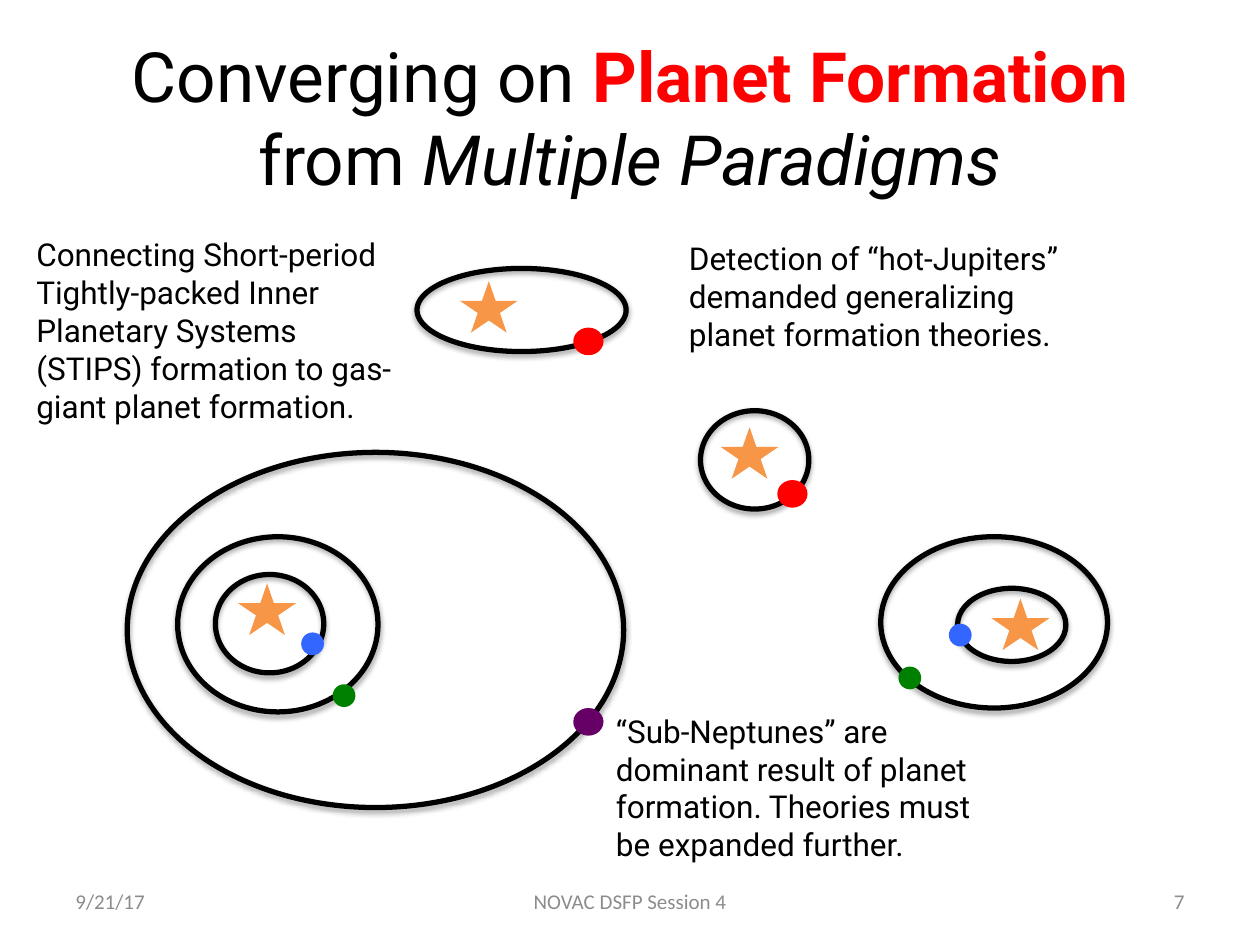
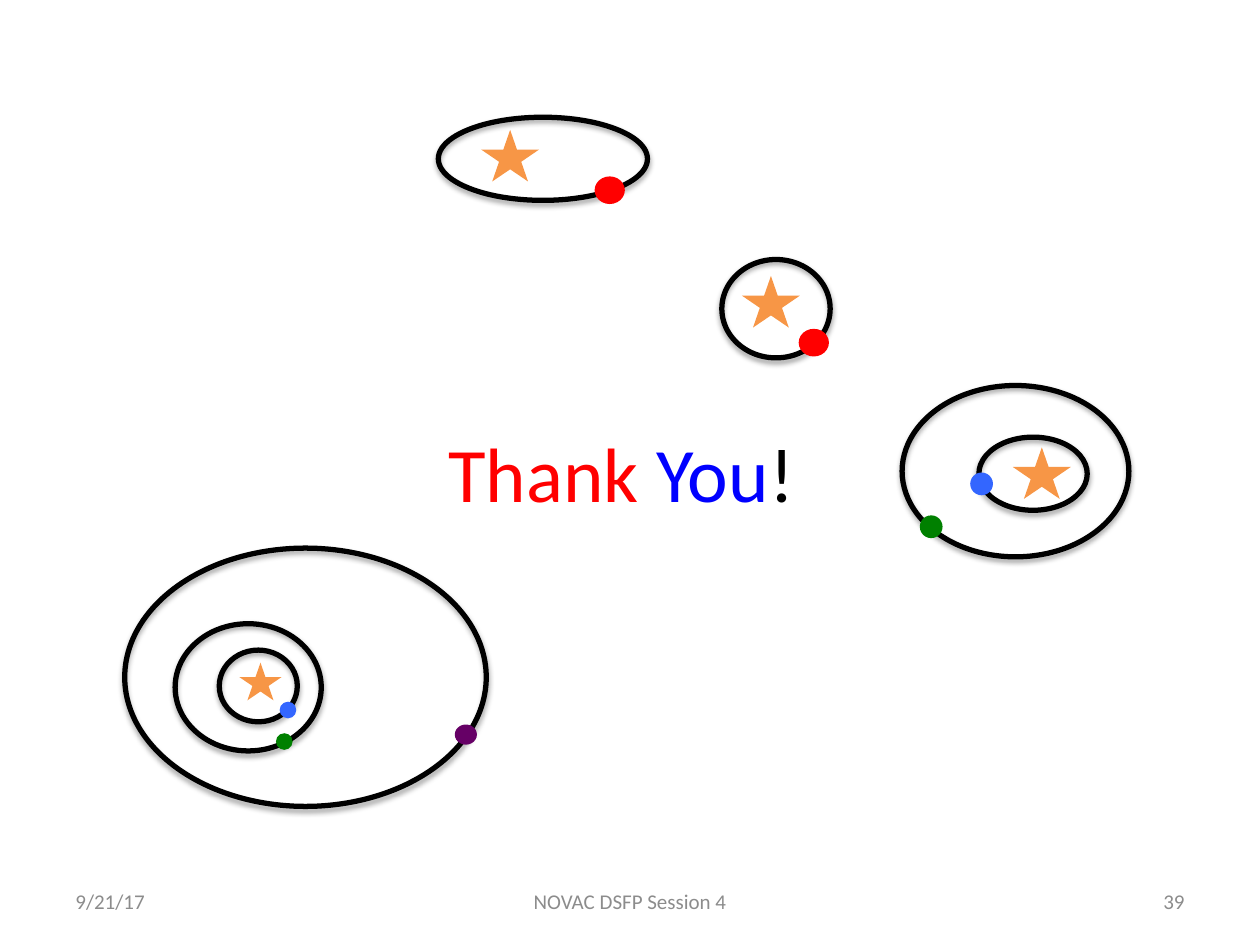
from typing import NamedTuple

from lxml import etree
from pptx import Presentation
from pptx.dml.color import RGBColor
from pptx.enum.shapes import MSO_SHAPE
from pptx.enum.text import MSO_ANCHOR, MSO_AUTO_SIZE, PP_ALIGN
from pptx.oxml.ns import qn
from pptx.util import Pt

ELLIPSE, STAR5 = MSO_SHAPE.OVAL, MSO_SHAPE.STAR_5_POINT
TOP, MIDDLE = MSO_ANCHOR.TOP, MSO_ANCHOR.MIDDLE
LEFT, CENTER, RIGHT = PP_ALIGN.LEFT, PP_ALIGN.CENTER, PP_ALIGN.RIGHT
NO_AUTOFIT = MSO_AUTO_SIZE.NONE

BLACK = RGBColor(0x00, 0x00, 0x00)
GREY = RGBColor(0x8C, 0x8C, 0x8C)
RED = RGBColor(0xFF, 0x00, 0x00)
BLUE = RGBColor(0x00, 0x00, 0xFF)
SKY = RGBColor(0x33, 0x66, 0xFF)
GREEN = RGBColor(0x00, 0x80, 0x00)
PURPLE = RGBColor(0x66, 0x00, 0x66)
ORANGE = RGBColor(0xF7, 0x96, 0x46)

BODY_FONT, FOOTER_FONT = "Roboto", "Calibri"
TITLE_ONLY = 5


class Box(NamedTuple):
    x: float
    y: float
    w: float
    h: float


class Run(NamedTuple):
    text: str
    color: RGBColor = BLACK
    bold: bool = False
    italic: bool = False


class Style(NamedTuple):
    geometry: MSO_SHAPE
    color: RGBColor
    w: float
    h: float


class Body(NamedTuple):
    x: float
    y: float
    style: Style


class System(NamedTuple):
    orbits: list[Box]
    bodies: list[Body]
    scale: float = 1


class Caption(NamedTuple):
    box: Box
    text: str


SUN = Style(STAR5, ORANGE, 33.1, 29.5)
HOT_JUPITER = Style(ELLIPSE, RED, 17.3, 15.8)
COLD_GIANT = Style(ELLIPSE, PURPLE, 17.3, 15.8)
INNER_PLANET = Style(ELLIPSE, SKY, 13, 13)
OUTER_PLANET = Style(ELLIPSE, GREEN, 13, 13)

SHARED_SYSTEMS = [
    System([Box(238.3, 153.4, 119.5, 47.5)],
           [Body(327.6, 187.2, HOT_JUPITER), Body(262.8, 160.6, SUN)]),
    System([Box(400.3, 234.7, 61.9, 56.2)],
           [Body(444.2, 274.3, HOT_JUPITER), Body(411.8, 244.1, SUN)]),
    System([Box(547.2, 336.2, 61.9, 41.8), Box(503.3, 306.7, 129.6, 97.9)],
           [Body(542.2, 356.4, INNER_PLANET), Body(513.4, 380.9, OUTER_PLANET),
            Body(566.6, 342, SUN)]),
]
LARGE_SYSTEM = System(
    [Box(123.1, 328.3, 61.9, 56.2), Box(101.5, 306.7, 114.5, 100.1),
     Box(72.7, 258.5, 283.7, 203)],
    [Body(172.1, 361.4, INNER_PLANET), Body(190.1, 391, OUTER_PLANET),
     Body(327.6, 404.6, COLD_GIANT), Body(136.1, 333.4, SUN)])
SMALL_SYSTEM = System(
    [Box(125.3, 371.5, 44.6, 41), Box(100.1, 356.4, 83.5, 72.7),
     Box(71.3, 313.2, 206.6, 147.6)],
    [Body(159.8, 401, INNER_PLANET), Body(157.7, 419, OUTER_PLANET),
     Body(259.9, 414, COLD_GIANT), Body(136.8, 378.7, SUN)],
    scale=0.73)

CAPTIONS = [
    Caption(Box(386.6, 133.2, 233.3, 94.3),
            "Detection of “hot-Jupiters” demanded generalizing planet formation theories."),
    Caption(Box(344.9, 403.2, 219.6, 116.6),
            "“Sub-Neptunes” are dominant result of planet formation. "
            "Theories must be expanded further."),
    Caption(Box(13.7, 131, 218.9, 138.2),
            "Connecting Short-period Tightly-packed Inner Planetary Systems (STIPS) "
            "formation to gas-giant planet formation."),
]


def place(box: Box) -> tuple:
    return tuple(Pt(v) for v in box)


def write(tf, runs: list[Run], *, size: float, font: str,
          align=LEFT, anchor=TOP) -> None:
    tf.word_wrap = True
    tf.auto_size = NO_AUTOFIT
    tf.vertical_anchor = anchor
    p = tf.paragraphs[0]
    p.alignment = align
    for run in runs:
        r = p.add_run()
        r.text = run.text
        r.font.name = font
        r.font.size = Pt(size)
        r.font.color.rgb = run.color
        r.font.bold = run.bold
        r.font.italic = run.italic


def add_text(s, box: Box, runs: list[Run], **fmt) -> None:
    write(s.shapes.add_textbox(*place(box)).text_frame, runs, **fmt)


def add_title(s, y: float, runs: list[Run], *, size: float, font: str) -> None:
    title = s.shapes.title
    title.left, title.top, title.width, title.height = place(Box(36, y, 648, 90))
    write(title.text_frame, runs, size=size, font=font, align=CENTER, anchor=MIDDLE)


def add_footer(s, number: int) -> None:
    for x, w, text, align in (
        (36, 168, "9/21/17", LEFT),
        (246, 228, "NOVAC DSFP Session 4", CENTER),
        (516, 168, str(number), RIGHT),
    ):
        add_text(s, Box(x, 500.5, w, 28.8), [Run(text, GREY)],
                 size=12, font=FOOTER_FONT, align=align, anchor=MIDDLE)


def add_orbit(s, box: Box) -> None:
    sp = s.shapes.add_shape(ELLIPSE, *place(box))
    sp.fill.background()
    sp.line.color.rgb = BLACK
    sp.line.width = Pt(3)
    sp.shadow.inherit = False
    effects = sp.element.spPr.find(qn("a:effectLst"))
    shadow = etree.SubElement(effects, qn("a:outerShdw"), blurRad=str(Pt(3.1)),
                              dist=str(Pt(1.8)), dir="5400000", rotWithShape="0")
    color = etree.SubElement(shadow, qn("a:srgbClr"), val=str(BLACK))
    etree.SubElement(color, qn("a:alpha"), val="35000")


def add_body(s, box: Box, style: Style) -> None:
    sp = s.shapes.add_shape(style.geometry, *place(box))
    sp.fill.solid()
    sp.fill.fore_color.rgb = style.color
    sp.line.fill.background()
    sp.shadow.inherit = False


def add_systems(s, systems: list[System], dx: float = 0, dy: float = 0) -> None:
    for system in systems:
        for x, y, w, h in system.orbits:
            add_orbit(s, Box(x + dx, y + dy, w, h))
        for x, y, style in system.bodies:
            size = style.w * system.scale, style.h * system.scale
            add_body(s, Box(x + dx, y + dy, *size), style)


def add_slide(prs, number: int):
    s = prs.slides.add_slide(prs.slide_layouts[TITLE_ONLY])
    add_footer(s, number)
    return s


def build_paradigms(prs) -> None:
    s = add_slide(prs, 7)
    add_title(s, 21.6, [Run("Converging on "), Run("Planet Formation ", RED, bold=True),
                        Run("from "), Run("Multiple Paradigms", italic=True)],
              size=39.6, font=BODY_FONT)
    add_systems(s, SHARED_SYSTEMS + [LARGE_SYSTEM])
    for caption in CAPTIONS:
        add_text(s, caption.box, [Run(caption.text)], size=18, font=BODY_FONT)


def build_thanks(prs) -> None:
    s = add_slide(prs, 39)
    add_title(s, 224.6, [Run("Thank ", RED), Run("You", BLUE), Run("! ")],
              size=44, font=FOOTER_FONT)
    add_systems(s, SHARED_SYSTEMS, dx=12.2, dy=-86.4)
    add_systems(s, [SMALL_SYSTEM])


def main() -> None:
    prs = Presentation()
    prs.slide_width, prs.slide_height = Pt(720), Pt(540)
    build_paradigms(prs)
    build_thanks(prs)
    prs.save("out.pptx")


if __name__ == "__main__":
    main()
